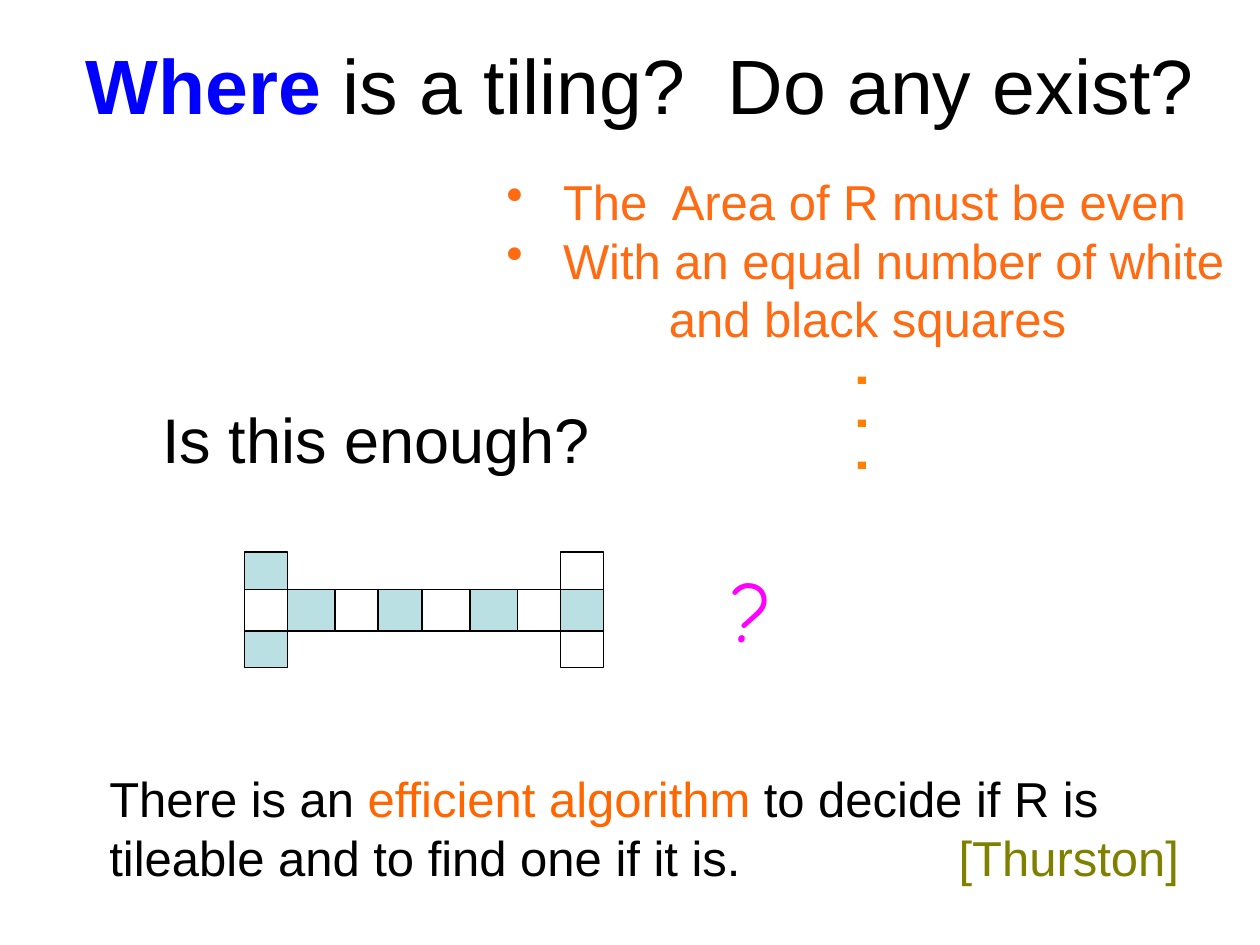
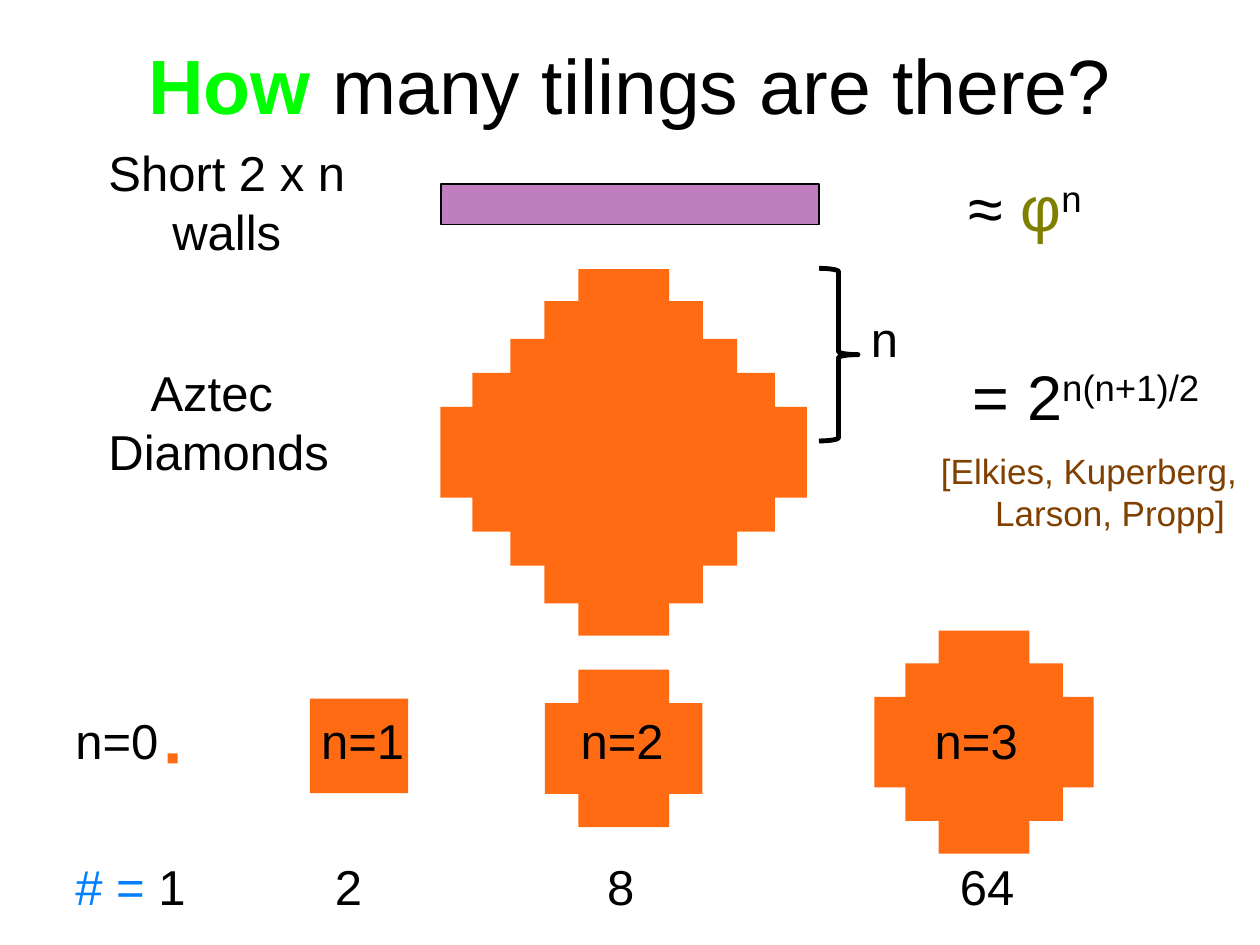
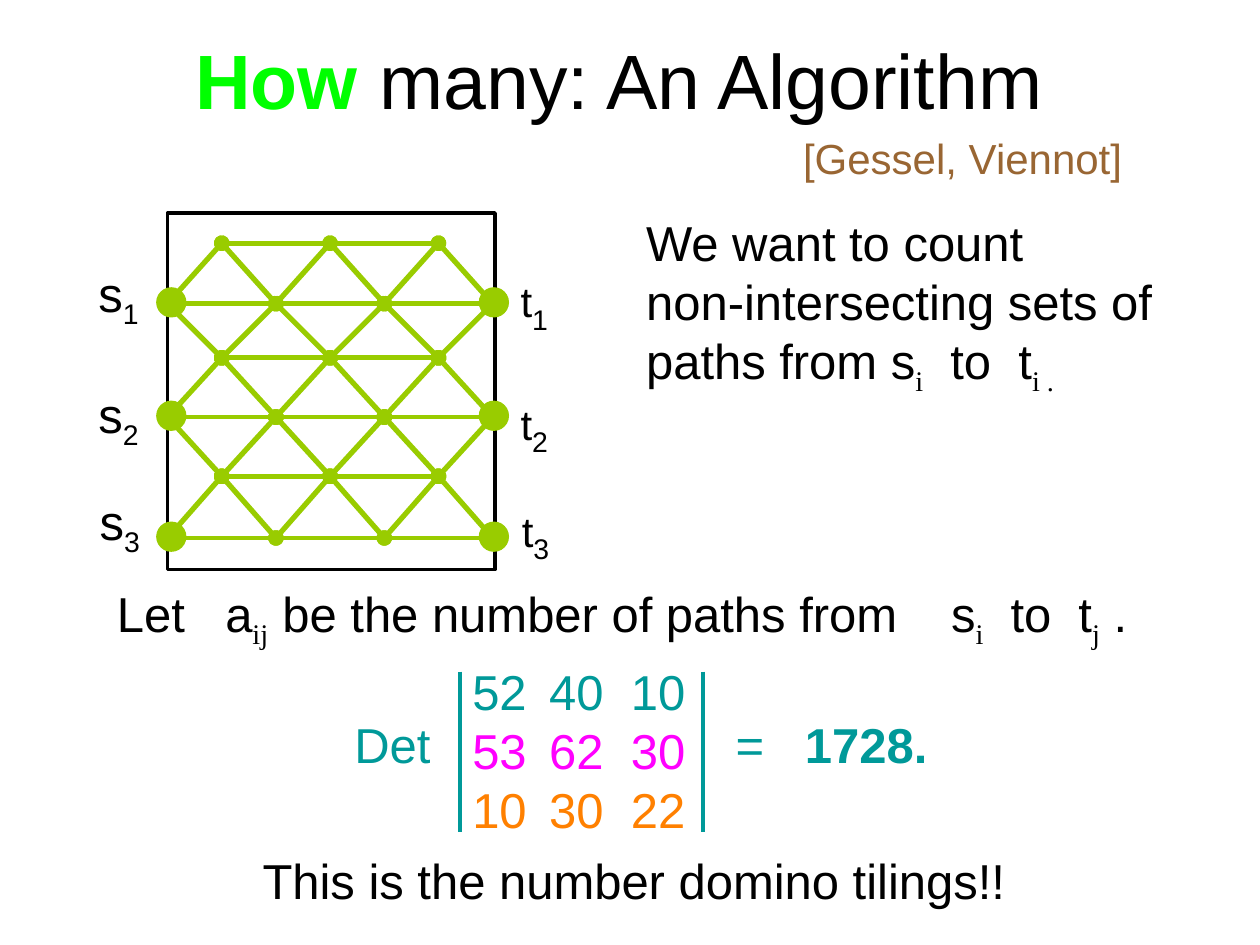
from pptx import Presentation
from pptx.dml.color import RGBColor
from pptx.enum.shapes import MSO_CONNECTOR as Connector, MSO_SHAPE as Preset
from pptx.enum.text import MSO_ANCHOR as Anchor, PP_ALIGN as Align
from pptx.oxml.ns import qn
from pptx.util import Inches, Pt
from lxml.etree import SubElement

BLACK = RGBColor(0x00, 0x00, 0x00)
WHITE = RGBColor(0xFF, 0xFF, 0xFF)
BLUE = RGBColor(0x00, 0x00, 0xFF)
SKY = RGBColor(0x00, 0x80, 0xFF)
GREEN = RGBColor(0x00, 0xFF, 0x00)
LIME = RGBColor(0x99, 0xCC, 0x00)
OLIVE = RGBColor(0x80, 0x80, 0x00)
TEAL = RGBColor(0x00, 0x99, 0x99)
PALE_TEAL = RGBColor(0xBB, 0xE0, 0xE3)
MAGENTA = RGBColor(0xFF, 0x00, 0xFF)
PURPLE = RGBColor(0x80, 0x00, 0x80)
ORANGE = RGBColor(0xFF, 0x6B, 0x13)
DEEP_ORANGE = RGBColor(0xFF, 0x66, 0x00)
LIGHT_ORANGE = RGBColor(0xFF, 0x80, 0x00)
BROWN = RGBColor(0x80, 0x40, 0x00)
TAN = RGBColor(0x99, 0x66, 0x33)

SUB, SUPER = -25, 30
SERIF_SUB = {"font": "Times New Roman", "base": SUB}

COLUMN_EDGES = [1.94, 2.28, 2.66, 3, 3.35, 3.73, 4.11, 4.45, 4.79]
ROW_EDGES = [4.38, 4.68, 5.01, 5.3]
REGION_PARTS = [
    (0, 1, 0, 3, PALE_TEAL),
    (7, 8, 0, 3, WHITE),
    (0, 8, 1, 2, PALE_TEAL),
    *[(column, column + 1, 1, 2, WHITE) for column in (0, 2, 4, 6)],
]

DIAMONDS = [
    (4.95, 3.59, [(0.72, 2.91), (1.26, 2.4), (1.8, 1.8), (2.4, 1.26), (2.91, 0.72)]),
    (1.37, 6.02, [(0.08, 0.08)]),
    (2.85, 5.92, [(0.78, 0.75)]),
    (4.95, 5.94, [(0.72, 1.25), (1.25, 0.72)]),
    (7.81, 5.89, [(0.72, 1.77), (1.25, 1.25), (1.74, 0.72)]),
]

LATTICE_LEFT, LATTICE_STEP, LATTICE_COLUMNS = 1.33, 0.43, 6
LATTICE_ROWS = [1.93, 2.41, 2.84, 3.31, 3.78, 4.27]
TERMINAL_SIZE = 0.23
TERMINAL_COLUMNS = [1.36, 3.92]
TERMINAL_ROWS = [2.4, 3.3, 4.26]
SOURCE_LABELS = [(0.67, 2.07), (0.67, 3.03), (0.68, 3.88)]
SINK_LABELS = [(4.02, 2.15), (4.02, 3.12), (4.03, 3.97)]

MATRIX = [("52\t40\t10", TEAL), ("53\t62\t30", MAGENTA), ("10\t30\t22", LIGHT_ORANGE)]
MATRIX_TABS = [0.61, 1.26]
BARS = [3.65, 5.58]


def write(para, spans, size, color, font, align, margin=0, bullet=None, tabs=()):
    para.alignment = align
    properties = para._p.get_or_add_pPr()
    if margin:
        properties.set("marL", str(Inches(margin)))
    if bullet:
        properties.set("indent", str(-Inches(margin)))
        SubElement(properties, qn("a:buChar"), char=bullet)
    if tabs:
        stops = SubElement(properties, qn("a:tabLst"))
        for tab in tabs:
            SubElement(stops, qn("a:tab"), pos=str(Inches(tab)), algn="l")
    para.font.name, para.font.size = font, Pt(size)
    para.font.color.rgb = color
    for text, style in spans:
        span = para.add_run()
        span.text = text
        if "color" in style:
            span.font.color.rgb = style["color"]
        if "bold" in style:
            span.font.bold = style["bold"]
        if "size" in style:
            span.font.size = Pt(style["size"])
        if "font" in style:
            span.font.name = style["font"]
        if "base" in style:
            span._r.get_or_add_rPr().set("baseline", str(style["base"] * 1000))


def add_text(page, at, paragraphs, size=28, color=BLACK, font="Arial",
             align=Align.LEFT, anchor=Anchor.TOP, rotation=0):
    box = page.shapes.add_textbox(*map(Inches, at))
    box.rotation = rotation
    frame = box.text_frame
    frame.word_wrap = align == Align.LEFT
    frame.vertical_anchor = anchor
    for index, (content, *options) in enumerate(paragraphs):
        para = frame.add_paragraph() if index else frame.paragraphs[0]
        spans = [(content, {})] if isinstance(content, str) else content
        layout = {"color": color, **(options[0] if options else {})}
        write(para, spans, size, font=font, align=align, **layout)


def add_centered(page, at, *contents, **style):
    add_text(page, at, [(content,) for content in contents], align=Align.CENTER, **style)


def add_title(page, at, lead, color, rest):
    add_centered(page, at, [(lead, {"color": color, "bold": True}), (rest, {})],
                 size=44, anchor=Anchor.MIDDLE)


def add_figure(page, preset, at, fill=None, line=None, width=0.75):
    figure = page.shapes.add_shape(preset, *map(Inches, at))
    figure.shadow.inherit = False
    if fill is None:
        figure.fill.background()
    else:
        figure.fill.solid()
        figure.fill.fore_color.rgb = fill
    if line is None:
        figure.line.fill.background()
    else:
        figure.line.color.rgb = line
        figure.line.width = Pt(width)
    return figure


def add_line(page, start, end, color, width, ends=()):
    line = page.shapes.add_connector(Connector.STRAIGHT, *map(Inches, (*start, *end)))
    line.line.color.rgb = color
    line.line.width = Pt(width)
    for end_name in ends:
        SubElement(line.line._get_or_add_ln(), qn("a:" + end_name), type="oval")
    SubElement(line._element.spPr, qn("a:effectLst"))


def add_diamond(page, center_x, center_y, sizes):
    for width, height in sizes:
        at = (center_x - width / 2, center_y - height / 2, width, height)
        add_figure(page, Preset.RECTANGLE, at, ORANGE)


def add_lattice(page):
    def node(column, row):
        return LATTICE_LEFT + column * LATTICE_STEP, LATTICE_ROWS[row]

    for row in range(len(LATTICE_ROWS)):
        first = (row + 1) % 2
        for column in range(first, LATTICE_COLUMNS - 1, 2):
            add_line(page, node(column + 2, row), node(column, row), LIME, 2.75, ["headEnd"])
    for row in range(len(LATTICE_ROWS) - 1):
        for column in range(LATTICE_COLUMNS):
            rises = (row + column) % 2 == 0
            add_line(page, node(column, row + rises), node(column + 1, row + 1 - rises),
                     LIME, 3, ["headEnd", "tailEnd"])
    for x in TERMINAL_COLUMNS:
        for y in TERMINAL_ROWS:
            at = (x - TERMINAL_SIZE / 2, y - TERMINAL_SIZE / 2, TERMINAL_SIZE, TERMINAL_SIZE)
            add_figure(page, Preset.OVAL, at, LIME, LIME)


def build_existence(page):
    add_title(page, (0, 0.04, 10, 1.25), " Where ", BLUE, "is a tiling?  Do any exist?")
    add_centered(page, (1.17, 3.13, 3.63, 0.71), "Is this enough?", size=36)
    add_centered(page, (5.7, 4.38, 0.53, 0.91), "?", size=48, color=MAGENTA, font="Comic Neue")
    for left, right, top, bottom, fill in REGION_PARTS:
        x, y = COLUMN_EDGES[left], ROW_EDGES[top]
        at = (x, y, COLUMN_EDGES[right] - x, ROW_EDGES[bottom] - y)
        add_figure(page, Preset.RECTANGLE, at, fill, BLACK)
    add_centered(page, (6.11, 2.94, 1.06, 0.84), ". . .", size=44,
                 color=LIGHT_ORANGE, rotation=270)
    add_text(page, (0.77, 6.05, 9, 1.04), [
        ([("There is an ", {}), ("efficient algorithm ", {"color": DEEP_ORANGE}),
          ("to decide if R is", {})],),
        ([("tileable and to find one if it is.\t", {}), ("[Thurston]", {"color": OLIVE})],
         {"tabs": [6.74]}),
    ])
    bullet = {"margin": 0.45, "bullet": "•"}
    add_text(page, (3.92, 1.31, 6.08, 1.51), [
        ("The  Area of R must be even", bullet),
        ("With an equal number of white", bullet),
        ("and black squares", {"margin": 1.29}),
    ], color=ORANGE)


def build_counts(page):
    add_title(page, (0.75, 0.04, 8.5, 1.25), "How ", GREEN, "many tilings are there?")
    wall = add_figure(page, Preset.RECTANGLE, (3.5, 1.46, 3, 0.32), PURPLE, BLACK)
    wall_color = wall._element.spPr.find(qn("a:solidFill"))[0]
    SubElement(wall_color, qn("a:alpha"), val="50000")
    add_centered(page, (7.56, 1.29, 1.15, 0.71),
                 [("≈ ", {}), ("φ", {"color": OLIVE}), ("n", {"base": SUPER})], size=36)
    add_centered(page, (0.75, 1.08, 2.1, 1.04), "Short 2 x n ", "walls")
    add_centered(page, (0.75, 2.83, 1.97, 1.04), "Aztec ", "Diamonds")
    for diamond in DIAMONDS:
        add_diamond(page, *diamond)
    add_figure(page, Preset.RIGHT_BRACE, (6.5, 2.13, 0.31, 1.37), line=BLACK, width=2.75)
    add_centered(page, (6.81, 2.4, 0.42, 0.57), "n")
    add_text(page, (0.5, 6.75, 8.24, 0.57), [
        ([("# = ", {"color": SKY}), ("1\t2\t8\t64", {})], {"tabs": [2.06, 4.22, 7.02]}),
    ])
    add_text(page, (0.5, 5.59, 8.92, 0.57), [
        ("n=0\tn=1\tn=2\tn=3", {"tabs": [1.95, 4.01, 6.82]}),
    ])
    add_centered(page, (7.56, 2.79, 2.12, 0.71),
                 [("= 2", {}), ("n(n+1)/2", {"base": SUPER})], size=36)
    add_text(page, (7.19, 3.52, 2.8, 0.78), [
        ("[Elkies, Kuperberg,", {"margin": 0.18}),
        ("Larson, Propp]", {"margin": 0.61}),
    ], size=20, color=BROWN)


def build_algorithm(page):
    add_figure(page, Preset.RECTANGLE, (1.33, 1.69, 2.6, 2.83), line=BLACK, width=2)
    add_title(page, (0.75, 0, 8.5, 1.25), "How ", GREEN, "many: An Algorithm ")
    for letter, size, places, extent in [("s", 28, SOURCE_LABELS, (0.54, 0.57)),
                                         ("t", 24, SINK_LABELS, (0.44, 0.5))]:
        for number, place in enumerate(places, 1):
            add_centered(page, (*place, *extent),
                         [(letter, {"size": size}), (str(number), {"base": SUB})],
                         anchor=Anchor.MIDDLE)
    add_text(page, (5.03, 1.64, 4.5, 1.5), [
        ("We want to count",),
        ("non-intersecting sets of",),
        ([("paths from s", {}), ("i", SERIF_SUB), ("  to  t", {}), ("i .", SERIF_SUB)],),
    ])
    add_text(page, (3.65, 5.2, 2.2, 1.5),
             [(row, {"color": color, "tabs": MATRIX_TABS}) for row, color in MATRIX])
    add_lattice(page)
    for x in BARS:
        add_line(page, (x, 5.33), (x, 6.6), TEAL, 2.25)
    add_text(page, (5.74, 5.62, 1.9, 0.57), [
        ([("=\t", {}), ("1728.", {"bold": True})], {"tabs": [0.55]}),
    ], color=TEAL)
    add_centered(page, (6.27, 1, 2.74, 0.5), "[Gessel, Viennot]", size=24,
                 color=TAN, anchor=Anchor.MIDDLE)
    add_text(page, (0.83, 4.58, 8.6, 0.65), [
        ([("Let\ta", {}), ("ij  ", SERIF_SUB), ("be the number of paths from\ts", {}),
          ("i", SERIF_SUB), ("  to  t", {}), ("j", SERIF_SUB), (" .", {})],
         {"tabs": [0.86, 6.62]}),
    ])
    add_centered(page, (2.71, 5.62, 0.81, 0.57), "Det", color=TEAL, anchor=Anchor.MIDDLE)
    add_centered(page, (1.98, 6.7, 6.1, 0.57), "This is the number domino tilings!!",
                 anchor=Anchor.MIDDLE)


def main():
    deck = Presentation()
    deck.slide_width, deck.slide_height = Inches(10), Inches(7.5)
    for build in (build_existence, build_counts, build_algorithm):
        build(deck.slides.add_slide(deck.slide_layouts[6]))
    deck.save("out.pptx")


if __name__ == "__main__":
    main()
